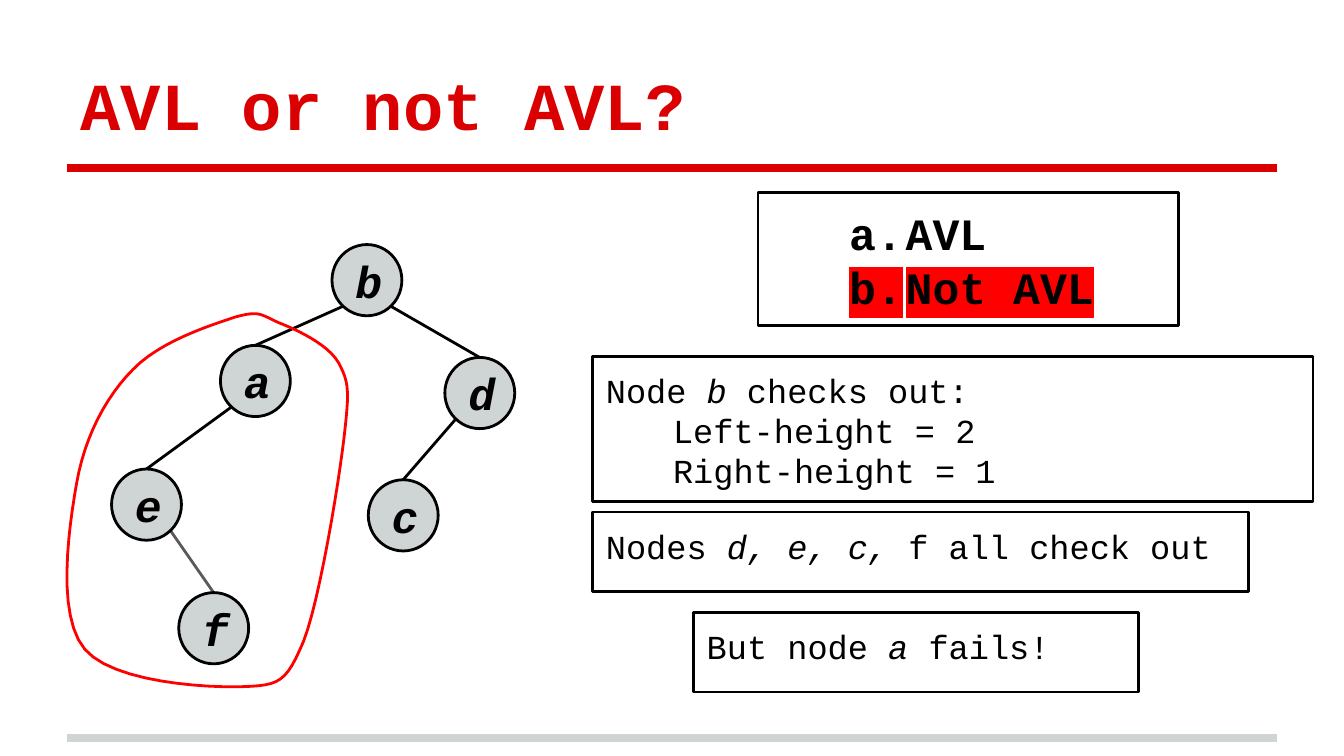
from lxml import etree
from pptx import Presentation, util as u
from pptx.dml import color
from pptx.enum import shapes, text
from pptx.oxml import ns

Inches, Pt = u.Inches, u.Pt
FONT = "Courier New"
RED, GREY, BLACK = "DA0002", "CFD4D4", "000000"
NODE_WIDTH, NODE_HEIGHT = 0.52, 0.53
NODES = {"b": (1.97, 0), "a": (1.14, 0.75), "d": (2.81, 0.84),
         "e": (0.33, 1.67), "c": (2.24, 1.75), "f": (0.83, 2.59)}
EDGES = [("b", "a", "left", BLACK), ("b", "d", "right", BLACK), ("a", "e", "left", BLACK),
         ("d", "c", "left", BLACK), ("e", "f", "right", "5B595A")]
LOOP_START = (1.25, 0.54)
LOOP_CURVES = [
    ((1.07, 0.6), (0.69, 0.72), (0.49, 0.93)),
    ((0.29, 1.13), (0.13, 1.43), (0.07, 1.78)),
    ((0.01, 2.12), (-0.08, 2.76), (0.13, 3.01)),
    ((0.34, 3.26), (1.04, 3.3), (1.31, 3.29)),
    ((1.58, 3.28), (1.63, 3.26), (1.76, 2.95)),
    ((1.88, 2.64), (2.02, 1.78), (2.06, 1.44)),
    ((2.1, 1.09), (2.1, 1.03), (2.02, 0.88)),
    ((1.94, 0.74), (1.7, 0.63), (1.57, 0.58)),
    ((1.44, 0.52), (1.43, 0.49), (1.25, 0.54)),
]


def rgb(value):
    """Turn a hex string into a colour."""
    return color.RGBColor.from_string(value)


def apply(target, values):
    """Set each named attribute on the target."""
    for name, value in values.items():
        setattr(target, name, value)


def style_shape(shape, line, fill=None):
    """Give a shape its outline and fill, without a shadow."""
    shape.shadow.inherit = False
    shape.line.color.rgb = rgb(line)
    shape.line.width = Pt(1.5)
    if fill:
        shape.fill.solid()
        shape.fill.fore_color.rgb = rgb(fill)
    else:
        shape.fill.background()


def set_margins(frame):
    """Use equal insets on all sides of a text frame."""
    sides = ("left", "top", "right", "bottom")
    apply(frame, {f"margin_{side}": Inches(0.1) for side in sides})


def add_run(paragraph, content, size, tint=BLACK, **values):
    """Append a formatted run to a paragraph."""
    run = paragraph.add_run()
    run.text = content
    run.font.color.rgb = rgb(tint)
    apply(run.font, {"name": FONT, "size": Pt(size), **values})


def add_line(slide, start, end, tint, width=1.5):
    """Draw a straight line between two points."""
    points = [Inches(value) for value in (*start, *end)]
    line = slide.shapes.add_connector(shapes.MSO_CONNECTOR.STRAIGHT, *points)
    line.line.color.rgb = rgb(tint)
    line.line.width = Pt(width)
    etree.SubElement(line._element.spPr, ns.qn("a:effectLst"))


def add_box(slide, box, paragraphs, size, bold=False):
    """Draw an outlined box; each paragraph is a list of (text, italic) pairs."""
    shape = slide.shapes.add_shape(shapes.MSO_SHAPE.RECTANGLE, *map(Inches, box))
    style_shape(shape, BLACK)
    frame = shape.text_frame
    set_margins(frame)
    apply(frame, {"word_wrap": True, "vertical_anchor": text.MSO_ANCHOR.TOP})
    for index, parts in enumerate(paragraphs):
        paragraph = frame.add_paragraph() if index else frame.paragraphs[0]
        apply(paragraph, {"alignment": text.PP_ALIGN.LEFT,
                          "space_before": Pt(0 if index else size * 0.2)})
        for content, italic in parts:
            add_run(paragraph, content, size, bold=bold, italic=italic)
    return frame.paragraphs


def indent(paragraph, margin, first):
    """Set the left margin and first-line indent of a paragraph."""
    properties = paragraph._p.get_or_add_pPr()
    properties.set("marL", str(Inches(margin)))
    properties.set("indent", str(Inches(first)))
    return properties


def add_choices(slide, box, choices, answer):
    """Write the lettered choices and highlight the answer."""
    paragraphs = add_box(slide, box, [[(choice, False)] for choice in choices], 24, True)
    for paragraph, choice in zip(paragraphs, choices):
        properties = indent(paragraph, 1, -0.42)
        tint = etree.SubElement(properties, ns.qn("a:buClr"))
        etree.SubElement(tint, ns.qn("a:srgbClr"), val=BLACK)
        etree.SubElement(properties, ns.qn("a:buFont"), typeface=FONT)
        etree.SubElement(properties, ns.qn("a:buAutoNum"), type="alphaLcPeriod")
        if choice == answer:
            latin = paragraph.runs[0]._r.rPr.find(ns.qn("a:latin"))
            highlight = etree.Element(ns.qn("a:highlight"))
            etree.SubElement(highlight, ns.qn("a:srgbClr"), val="FF0000")
            latin.addprevious(highlight)


def add_tree(slide, left, top):
    """Draw the edges and then the nodes of the tree."""
    for parent, child, side, tint in EDGES:
        (parent_x, parent_y), (child_x, child_y) = NODES[parent], NODES[child]
        across = 0.08 if side == "left" else NODE_WIDTH - 0.08
        add_line(slide, (left + parent_x + across, top + parent_y + 0.46),
                 (left + child_x + NODE_WIDTH / 2, top + child_y), tint)
    for name, (x, y) in NODES.items():
        box = (left + x, top + y, NODE_WIDTH, NODE_HEIGHT)
        node = slide.shapes.add_shape(shapes.MSO_SHAPE.OVAL, *map(Inches, box))
        style_shape(node, BLACK, GREY)
        set_margins(node.text_frame)
        apply(node.text_frame, {"word_wrap": True, "vertical_anchor": text.MSO_ANCHOR.MIDDLE})
        paragraph = node.text_frame.paragraphs[0]
        apply(paragraph, {"alignment": text.PP_ALIGN.CENTER, "space_before": Pt(4.8)})
        add_run(paragraph, name, 24, bold=True, italic=True)


def add_loop(slide, left, top, steps=12):
    """Draw the smooth red loop around the failing subtree."""
    points, start = [], LOOP_START
    for first, second, end in LOOP_CURVES:
        for step in range(1, steps + 1):
            t = step / steps
            weights = ((1 - t) ** 3, 3 * t * (1 - t) ** 2, 3 * t ** 2 * (1 - t), t ** 3)
            x, y = (sum(weight * value for weight, value in zip(weights, axis))
                    for axis in zip(start, first, second, end))
            points.append((Inches(left + x), Inches(top + y)))
        start = end
    builder = slide.shapes.build_freeform(*points[-1])
    builder.add_line_segments(points[:-1], close=True)
    style_shape(builder.convert_to_shape(), "FF0000")


def add_heading(slide, content, left, top, width):
    """Place the title above its red rule."""
    title = slide.shapes.title
    apply(title, {"left": Inches(left), "top": Inches(top),
                  "width": Inches(width), "height": Inches(0.94)})
    set_margins(title.text_frame)
    apply(title.text_frame, {"vertical_anchor": text.MSO_ANCHOR.BOTTOM, "word_wrap": True})
    paragraph = title.text_frame.paragraphs[0]
    paragraph.alignment = text.PP_ALIGN.LEFT
    add_run(paragraph, content, 36, RED, bold=True)
    add_line(slide, (left, top + 1.02), (left + width, top + 1.02), RED, 4)


def add_explanation(slide, left, top):
    """Place the three boxes that check the nodes."""
    checks = add_box(slide, (left, top, 5.36, 1.08), [
        [("Node ", False), ("b", True), (" checks out:", False)],
        [("Left-height = 2", False)],
        [("Right-height = 1", False)]], 18)
    for paragraph in checks[1:]:
        indent(paragraph, 0.5, 0)
    add_box(slide, (left, top + 1.16, 4.88, 0.59),
            [[("Nodes ", False), ("d, e, c,", True), (" f all check out", False)]], 18)
    add_box(slide, (left + 0.75, top + 1.91, 3.31, 0.59),
            [[("But node ", False), ("a", True), (" fails!", False)]], 18)


def main():
    """Build and save the slide."""
    presentation = Presentation()
    width = Inches(10)
    apply(presentation, {"slide_width": width, "slide_height": width * 9 // 16})
    slide = presentation.slides.add_slide(presentation.slide_layouts[5])
    add_line(slide, (0.5, 5.49), (9.5, 5.49), GREY, 4)
    add_heading(slide, "AVL or not AVL?", 0.5, 0.23, 9)
    add_tree(slide, 0.5, 1.82)
    add_choices(slide, (5.64, 1.43, 3.13, 0.99), ["AVL", "Not AVL"], "Not AVL")
    add_explanation(slide, 4.41, 2.65)
    add_loop(slide, 0.5, 1.82)
    presentation.save("out.pptx")


main()
